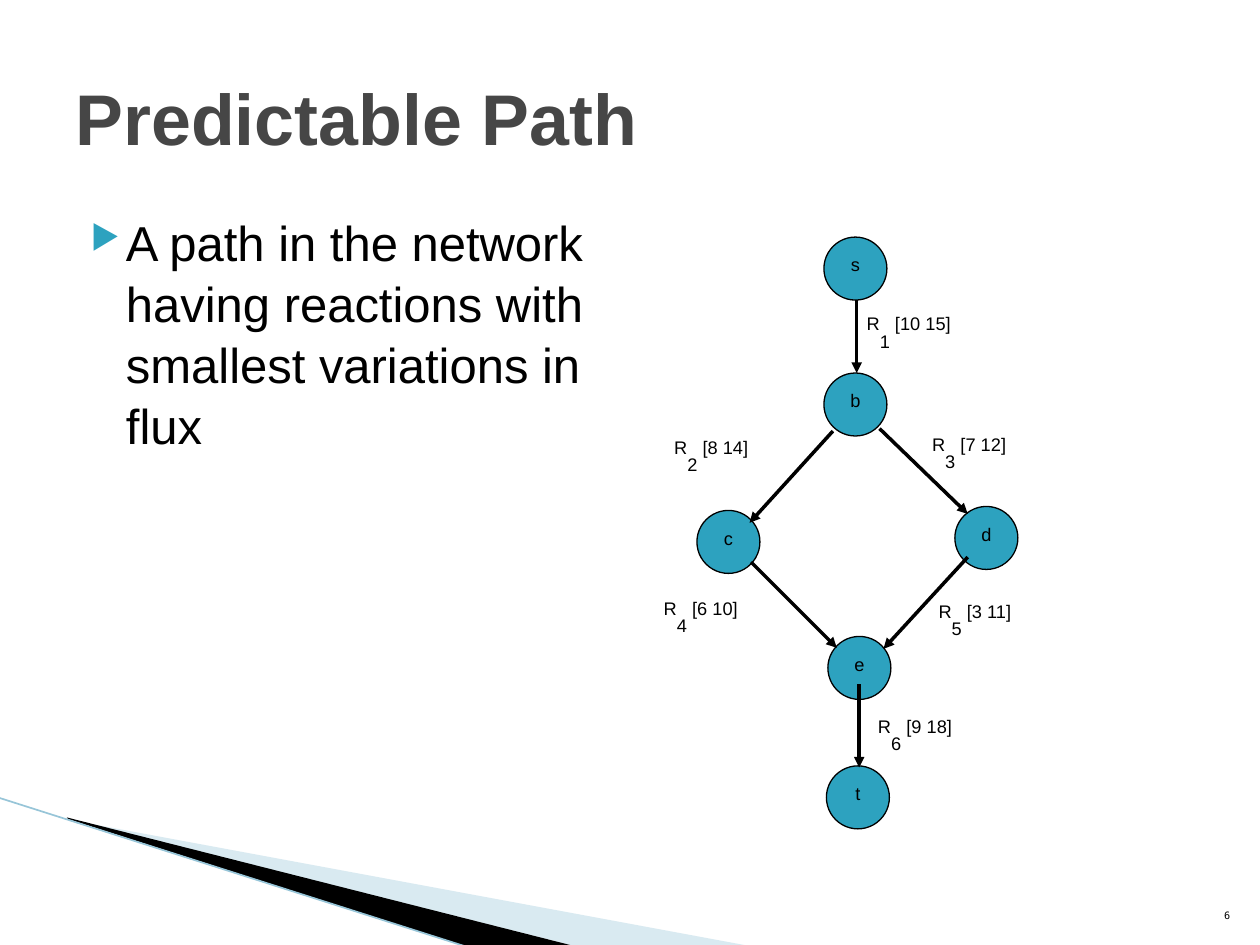
from lxml import etree
from pptx import Presentation
from pptx.dml.color import RGBColor
from pptx.enum.shapes import MSO_CONNECTOR, MSO_SHAPE
from pptx.enum.text import MSO_ANCHOR, MSO_AUTO_SIZE, PP_ALIGN
from pptx.oxml.ns import qn
from pptx.util import Cm, Pt

LINE = MSO_CONNECTOR.STRAIGHT
OVAL = MSO_SHAPE.OVAL
TOP, MIDDLE, BOTTOM = MSO_ANCHOR.TOP, MSO_ANCHOR.MIDDLE, MSO_ANCHOR.BOTTOM
LEFT, CENTER, RIGHT = PP_ALIGN.LEFT, PP_ALIGN.CENTER, PP_ALIGN.RIGHT
NO_FIT = MSO_AUTO_SIZE.NONE

COLORS = {
    "text": "000000",
    "title": "464646",
    "accent": "2DA2BF",
    "pale": "A0CBDC",
    "edge": "97C5D8",
}
TITLE = {"name": "Arial", "size": Pt(41), "bold": True}
BODY = {"name": "Arial", "size": Pt(28)}
LABEL = {"name": "Arial", "size": Pt(18)}
NUMBER = {"name": "DejaVu Sans Mono", "size": Pt(10)}
RAISED, LOWERED = 30000, -25000

NODE_SIZE = 1.27
NODES = {
    "s": (3.61, 0.28),
    "b": (3.61, 3.02),
    "c": (1.05, 5.79),
    "d": (6.25, 5.71),
    "e": (3.69, 8.33),
    "t": (3.66, 10.94),
}
REACTIONS = [
    ((4.27, 1.55), (4.27, 3.02), (4.22, 1.6), "[10 15]"),
    ((3.79, 4.19), (2.11, 6.04), (0.34, 4.09), "[8 14]"),
    ((4.73, 4.14), (6.51, 5.86), (5.54, 4.03), "[7 12]"),
    ((2.14, 6.83), (3.87, 8.56), (0.13, 7.34), "[6 10]"),
    ((6.51, 6.73), (4.81, 8.58), (5.67, 7.39), "[3 11]"),
    ((4.32, 9.29), (4.32, 10.97), (4.45, 9.72), "[9 18]"),
]
WEDGES = [
    ([(1.4, 0.45), (15.11, 2.99), (11.58, 2.99), (1.4, 0.43)], "pale", 40000),
    ([(1.35, 0.4), (11.61, 3), (9.45, 3.02), (1.37, 0.43)], "text", None),
]


def color(key):
    return RGBColor.from_string(COLORS[key])


def add_run(p, text, fmt, key="text", baseline=None):
    r = p.add_run()
    r.text = text
    for name, value in fmt.items():
        setattr(r.font, name, value)
    r.font.color.rgb = color(key)
    if baseline is not None:
        r.font._element.set("baseline", str(baseline))


def setup_text(sp, anchor=TOP, align=LEFT, wrap=True):
    tf = sp.text_frame
    settings = {"auto_size": NO_FIT, "word_wrap": wrap, "vertical_anchor": anchor}
    for name, value in settings.items():
        setattr(tf, name, value)
    p = tf.paragraphs[0]
    p.alignment = align
    return p


def add_textbox(s, left, top, width, height, **settings):
    sp = s.shapes.add_textbox(Cm(left), Cm(top), Cm(width), Cm(height))
    return setup_text(sp, **settings)


def add_line(s, start, end, key, width, arrow=False):
    cx = s.shapes.add_connector(LINE, *(Cm(v) for v in (*start, *end)))
    cx.line.color.rgb = color(key)
    cx.line.width = Pt(width)
    if arrow:
        etree.SubElement(cx.line._get_or_add_ln(), qn("a:tailEnd"), type="triangle")
    etree.SubElement(cx._element.spPr, qn("a:effectLst"))


def add_decoration(s, left, top):
    for points, key, alpha in WEDGES:
        corners = [(Cm(left + x), Cm(top + y)) for x, y in points]
        fb = s.shapes.build_freeform(*corners[0])
        fb.add_line_segments(corners[1:])
        sp = fb.convert_to_shape()
        sp.shadow.inherit = False
        sp.fill.solid()
        sp.fill.fore_color.rgb = color(key)
        sp.line.fill.background()
        if alpha:
            clr = sp._element.spPr.find(".//" + qn("a:srgbClr"))
            etree.SubElement(clr, qn("a:alpha"), val=str(alpha))
    add_line(s, (left - 0.03, top), (left + 9.45, top + 3.02), "edge", 0.95)


def add_title(s, left, top, width, height):
    sp = s.shapes.title
    box = {"left": left, "top": top, "width": width, "height": height}
    for name, value in box.items():
        setattr(sp, name, Cm(value))
    add_run(setup_text(sp, anchor=MIDDLE), "Predictable Path", TITLE, "title")


def add_body(s, left, top, width, height):
    p = add_textbox(s, left, top, width, height)
    p.space_before = Pt(4)
    p.line_spacing = 1.04
    add_run(p, "A path in the network having reactions with smallest variations in flux", BODY)
    pPr = p._p.get_or_add_pPr()
    pPr.set("marL", str(Cm(1.02)))
    pPr.set("indent", str(Cm(-0.71)))
    clr = etree.SubElement(pPr, qn("a:buClr"))
    etree.SubElement(clr, qn("a:srgbClr"), val=COLORS["accent"])
    etree.SubElement(pPr, qn("a:buSzPct"), val="68000")
    etree.SubElement(pPr, qn("a:buChar"), char="▶")


def add_network(s, left, top):
    def place(point):
        return left + point[0], top + point[1]

    for name, corner in NODES.items():
        x, y = place(corner)
        sp = s.shapes.add_shape(OVAL, Cm(x), Cm(y), Cm(NODE_SIZE), Cm(NODE_SIZE))
        sp.shadow.inherit = False
        sp.fill.solid()
        sp.fill.fore_color.rgb = color("accent")
        sp.line.color.rgb = color("text")
        sp.line.width = Pt(0.75)
        p = setup_text(sp, anchor=MIDDLE, align=CENTER, wrap=False)
        add_run(p, name, LABEL, baseline=RAISED)

    for i, (start, end, corner, flux) in enumerate(REACTIONS, 1):
        add_line(s, place(start), place(end), "text", 2, arrow=True)
        p = add_textbox(s, *place(corner), 3.25, 1.02)
        for text, baseline in (("R", RAISED), (f"{i} ", LOWERED), (flux, RAISED)):
            add_run(p, text, LABEL, baseline=baseline)


def add_slide_number(s, left, top, width, height):
    p = add_textbox(s, left, top, width, height, anchor=BOTTOM, align=RIGHT)
    add_run(p, "6", NUMBER, baseline=RAISED)


def main():
    prs = Presentation()
    prs.slide_width, prs.slide_height = Cm(25.4), Cm(19.05)
    s = prs.slides.add_slide(prs.slide_layouts[5])
    add_decoration(s, 0, 16.08)
    add_title(s, 1.27, 0.76, 22.86, 3.18)
    add_body(s, 1.27, 4.11, 11.23, 12.57)
    add_network(s, 13, 4.5)
    add_slide_number(s, 24.03, 17.81, 1.02, 1.02)
    prs.save("out.pptx")


if __name__ == "__main__":
    main()
